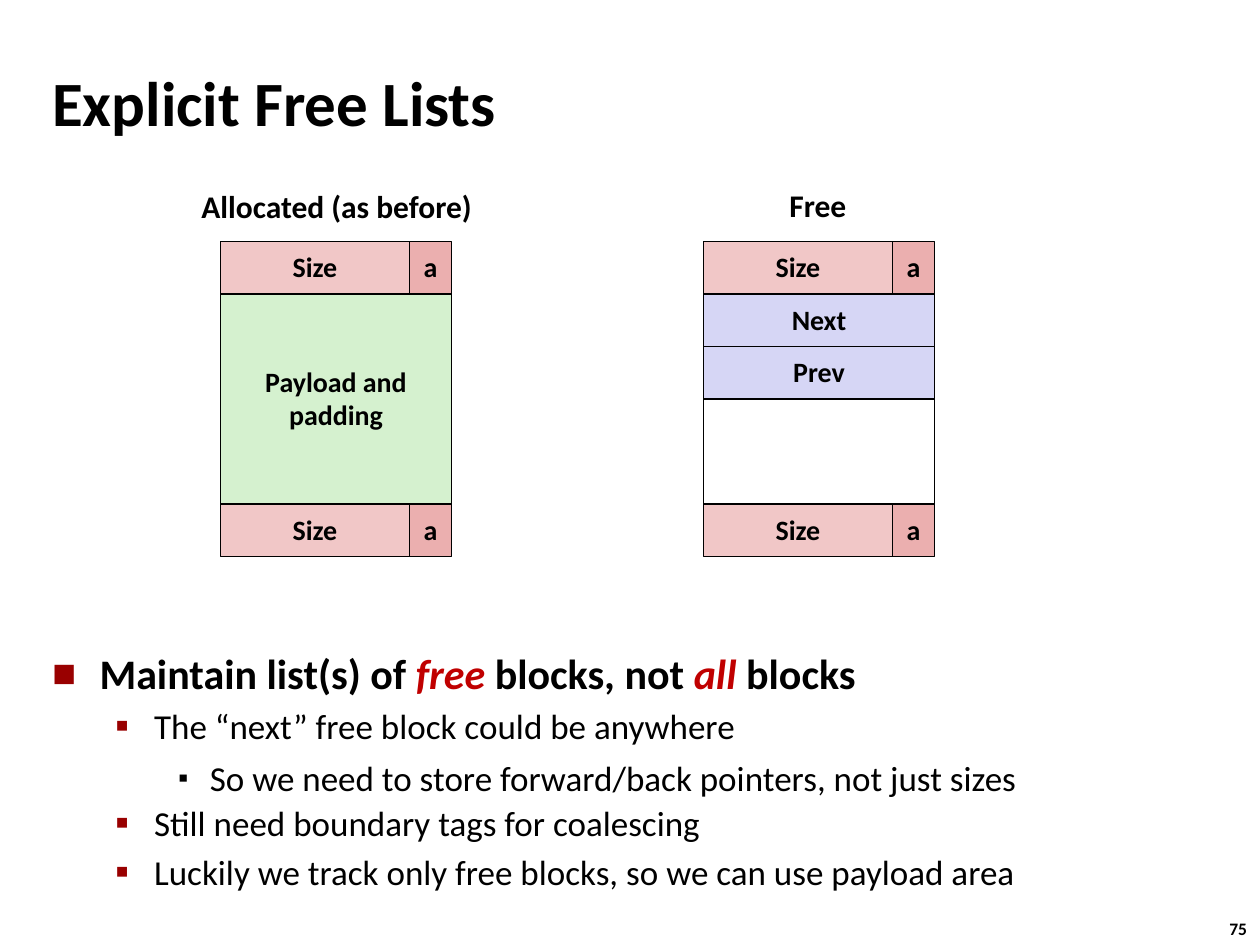
from dataclasses import dataclass

from lxml.etree import SubElement
from pptx import Presentation
from pptx.dml.color import RGBColor
from pptx.enum.shapes import MSO_SHAPE
from pptx.enum.text import MSO_ANCHOR, MSO_AUTO_SIZE, PP_ALIGN
from pptx.oxml.ns import qn
from pptx.util import Pt

PX = 7620  # EMU in one px, 120 px to the inch

BLACK = RGBColor(0x00, 0x00, 0x00)
WHITE = RGBColor(0xFF, 0xFF, 0xFF)
RED = RGBColor(0xC0, 0x00, 0x00)
MAROON = RGBColor(0x99, 0x00, 0x00)
PINK = RGBColor(0xF1, 0xC7, 0xC7)
ROSE = RGBColor(0xEB, 0xAF, 0xAF)
GREEN = RGBColor(0xD5, 0xF1, 0xCF)
LILAC = RGBColor(0xD6, 0xD6, 0xF5)

# Block grid
TOP, ROW, SIZE_W, TAG_W = 230, 50, 180, 40
FULL_W = SIZE_W + TAG_W


@dataclass
class Cell:
    text: str
    row: int
    fill: RGBColor
    rows: int = 1
    left: int = 0
    width: int = FULL_W


@dataclass
class Label:
    text: str
    box: tuple[int, int, int, int]
    size: int
    wrap: bool = False
    space: float = 1.0


@dataclass
class Level:
    left: int
    hang: int
    mark: str
    color: RGBColor
    scale: int
    size: int
    bold: bool


@dataclass
class Point:
    level: int
    runs: list[str]
    space: float


def assign(item, values: dict) -> None:
    for name, value in values.items():
        setattr(item, name, value)


def style(font, size: int, bold: bool = True, color: RGBColor = BLACK) -> None:
    assign(font, {"name": "Calibri", "size": Pt(size), "bold": bold})
    font.color.rgb = color


def scaled(*box: int) -> list[int]:
    return [n * PX for n in box]


def draw_cell(slide, x: int, cell: Cell) -> None:
    shape = slide.shapes.add_shape(MSO_SHAPE.RECTANGLE, *scaled(
        x + cell.left, TOP + cell.row * ROW, cell.width, cell.rows * ROW))
    shape.shadow.inherit = False
    shape.fill.solid()
    shape.fill.fore_color.rgb = cell.fill
    shape.line.color.rgb = BLACK
    shape.line.width = Pt(1)
    if not cell.text:
        return
    frame = shape.text_frame
    assign(frame, {"text": cell.text, "word_wrap": False,
                   "vertical_anchor": MSO_ANCHOR.MIDDLE})
    for para in frame.paragraphs:
        assign(para, {"alignment": PP_ALIGN.CENTER, "line_spacing": 0.98})
        style(para.runs[0].font, 16)


def draw_label(slide, label: Label) -> None:
    frame = slide.shapes.add_textbox(*scaled(*label.box)).text_frame
    assign(frame, {"text": label.text, "word_wrap": label.wrap,
                   "auto_size": MSO_AUTO_SIZE.NONE if label.wrap
                   else MSO_AUTO_SIZE.SHAPE_TO_FIT_TEXT,
                   "vertical_anchor": MSO_ANCHOR.MIDDLE if label.wrap
                   else MSO_ANCHOR.TOP})
    para = frame.paragraphs[0]
    para.line_spacing = label.space
    style(para.runs[0].font, label.size)


def add_mark(para, level: Level) -> None:
    props = para._p.get_or_add_pPr()
    props.set("marL", str(level.left * PX))
    props.set("indent", str(-level.hang * PX))
    color = SubElement(props, qn("a:buClr"))
    SubElement(color, qn("a:srgbClr"), val=str(level.color))
    SubElement(props, qn("a:buSzPct"), val=str(level.scale * 1000))
    SubElement(props, qn("a:buFont"), typeface="Calibri")
    SubElement(props, qn("a:buChar"), char=level.mark)


def draw_points(slide, box: tuple[int, int, int, int]) -> None:
    frame = slide.shapes.add_textbox(*scaled(*box)).text_frame
    frame.word_wrap = True
    for i, point in enumerate(POINTS):
        para = frame.add_paragraph() if i else frame.paragraphs[0]
        level = LEVELS[point.level]
        add_mark(para, level)
        assign(para, {"level": point.level, "line_spacing": point.space})
        if i:
            para.space_before = Pt(4)
        # Every second run is stressed
        for j, text in enumerate(point.runs):
            run = para.add_run()
            run.text = text
            stress = j % 2 == 1
            style(run.font, level.size, level.bold, RED if stress else BLACK)
            run.font.italic = stress


def ends(row: int) -> list[Cell]:
    return [Cell("Size", row, PINK, width=SIZE_W),
            Cell("a", row, ROSE, left=SIZE_W, width=TAG_W)]


# Blocks by left edge
BLOCKS = {
    210: [Cell("Payload and\npadding", 1, GREEN, rows=4)],
    670: [Cell("", 3, WHITE, rows=2),
          Cell("Next", 1, LILAC), Cell("Prev", 2, LILAC)],
}

LABELS = [
    Label("75", (1159, 868, 44, 32), 10),
    Label("Explicit Free Lists", (38, 64, 797, 76), 36, True, 0.87),
    Label("Allocated (as before)", (180, 172, 284, 48), 18),
    Label("Free", (740, 171, 79, 48), 18),
]

LEVELS = [
    Level(45, 45, "■", MAROON, 60, 24, True),
    Level(97, 37, "▪", MAROON, 110, 20, False),
    Level(150, 30, "▪", BLACK, 80, 20, False),
]

POINTS = [
    Point(0, ["Maintain list(s) of ", "free", " blocks, not ", "all",
              " blocks"], 0.85),
    Point(1, ["The “next” free block could be anywhere"], 1.0),
    Point(2, ["So we need to store forward/back pointers, not just sizes"],
          1.07),
    Point(1, ["Still need boundary tags for coalescing"], 0.9),
    Point(1, ["Luckily we track only free blocks, so we can use payload area"],
          1.0),
]


def main() -> None:
    deck = Presentation()
    assign(deck, {"slide_width": 1200 * PX, "slide_height": 900 * PX})
    slide = deck.slides.add_slide(deck.slide_layouts[6])
    # Title, captions and page number
    for label in LABELS:
        draw_label(slide, label)
    # Bullet list
    draw_points(slide, (38, 618, 1091, 242))
    # Block diagrams
    for x, cells in BLOCKS.items():
        for cell in cells + ends(0) + ends(5):
            draw_cell(slide, x, cell)
    deck.save("out.pptx")


if __name__ == "__main__":
    main()
